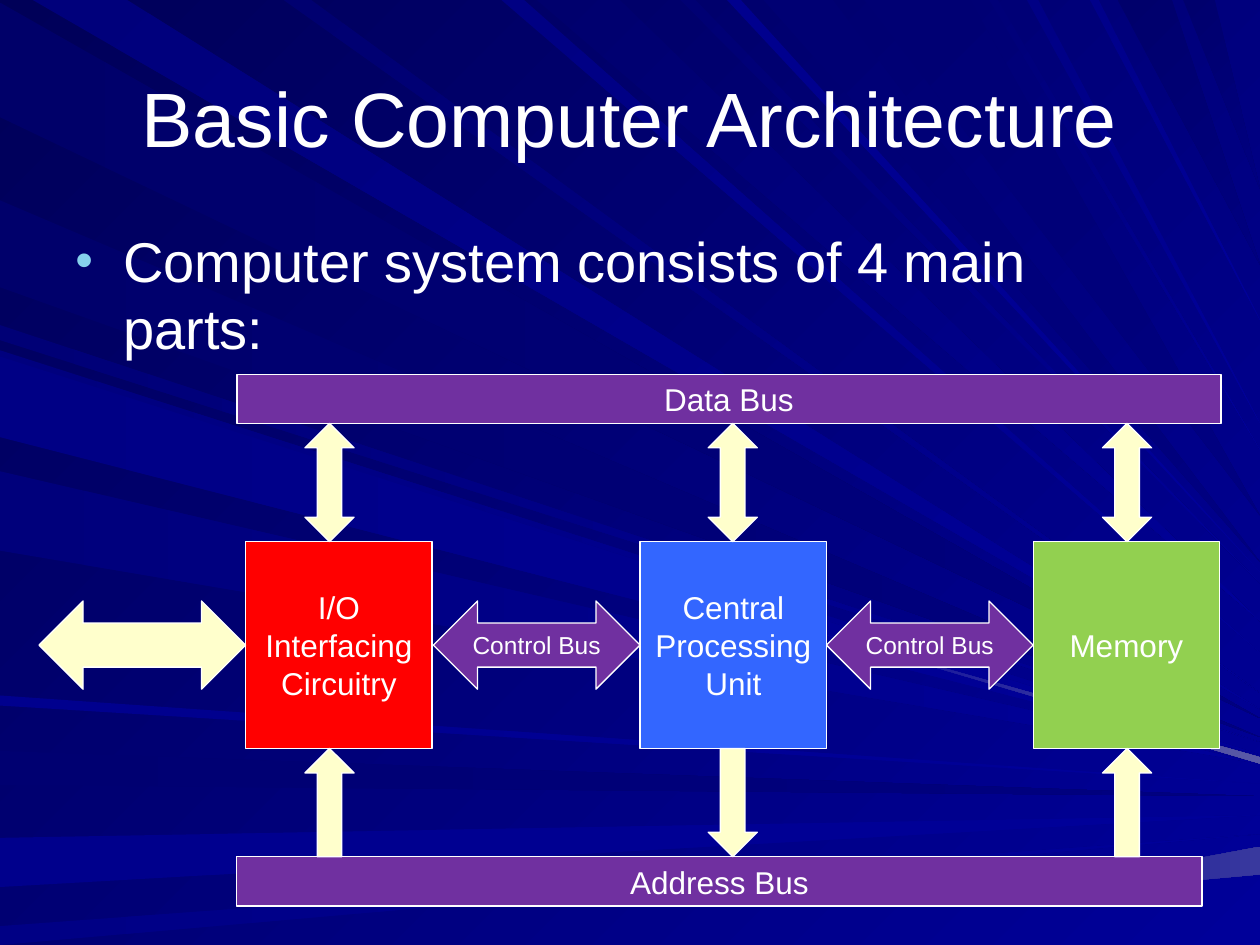
from lxml.etree import SubElement
from pptx import Presentation
from pptx.dml.color import RGBColor
from pptx.enum.shapes import MSO_SHAPE as Preset
from pptx.enum.text import MSO_ANCHOR as Anchor, PP_ALIGN as Align
from pptx.oxml.ns import qn
from pptx.util import Emu, Pt

SCALE = 9144
WIDTH, HEIGHT = 1000, 750
WHITE, CREAM, PURPLE = "FFFFFF", "FFFFCC", "7030A0"
NAVY, BLUE = "000080", "000099"

RAYS = [
    ("left", 2, 93, 570, "000069", NAVY),
    ("top", 26, 101, 563, "00007B", BLUE),
    ("left", 596, 623, 632, "000071", NAVY),
    ("left", 665, 704, 647, "00008C", BLUE),
    ("left", 735, 750, 662, "000085", BLUE),
    ("left", 258, 270, 589, "000076", BLUE),
    ("left", 159, 228, 585, "00006B", NAVY),
    ("top", 398, 416, 518, "000083", BLUE),
    ("top", 426, 492, 493, "00006D", BLUE),
    ("top", 540, 552, 463, "000073", BLUE),
    ("top", 606, 661, 446, "000073", NAVY),
    ("top", 887, 930, 210, "00006B", NAVY),
    ("top", 939, 964, 150, "00006D", NAVY),
    ("left", 278, 342, 599, "00007E", BLUE),
    ("left", 374, 437, 606, "00007B", BLUE),
    ("left", 552, 560, 622, "00008E", BLUE),
    ("top", 225, 247, 550, "000070", BLUE),
    ("top", 577, 588, 454, "00008E", BLUE),
    ("top", 686, 770, 409, "000073", NAVY),
    ("top", 785, 792, 357, "000078", BLUE),
    ("top", 815, 824, 336, "000085", BLUE),
    ("top", 865, 872, 254, "00008A", BLUE),
    ("left", 283, 347, 603, "000085", BLUE),
]
GLINTS = [(770, 715, 672, 694, "39399E"), (635, 498, 601, 606, "5A5AA6")]

BUSES = [("Data Bus", 297, 781), ("Address Bus", 680, 766)]
UNITS = [
    ("I/O\nInterfacing Circuitry", "FF0000", 195, 242, Preset.UP_ARROW),
    ("Central\nProcessing\vUnit", "3366FF", 508, 562, Preset.DOWN_ARROW),
    ("Memory", "92D050", 820, 875, Preset.UP_ARROW),
]


def px(*lengths):
    """Turn pixel lengths into EMU."""
    return [Emu(length * SCALE) for length in lengths]


def color(value):
    """Make a colour from a hex string."""
    return RGBColor.from_string(value)


def apply(target, formats):
    """Set every attribute named in a dict of format values."""
    for name, value in formats.items():
        setattr(target, name, value)


def paint(fill, start, end, angle=0):
    """Fill solid when both colours agree, otherwise with a gradient."""
    if start == end:
        fill.solid()
        fill.fore_color.rgb = color(start)
        return
    fill.gradient()
    fill.gradient_angle = -angle % 360
    for stop, value in zip(fill.gradient_stops, (start, end)):
        stop.color.rgb = color(value)


def add_wedge(page, points, start, end, angle):
    """Draw one triangular ray of the backdrop."""
    builder = page.shapes.build_freeform(*points[0], scale=SCALE)
    builder.add_line_segments(points[1:], close=True)
    wedge = builder.convert_to_shape()
    wedge.shadow.inherit = False
    wedge.line.fill.background()
    paint(wedge.fill, start, end, angle)


def add_backdrop(page):
    """Draw the rays that run from the left and top edges to the right edge."""
    paint(page.background.fill, "000058", BLUE, 45)
    for edge, near, far, height, start, end in RAYS:
        base = [(0, near), (0, far)] if edge == "left" else [(near, 0), (far, 0)]
        angle = 0 if edge == "left" else 45
        add_wedge(page, base + [(WIDTH, height)], start, end, angle)
    for left, height, near, far, end in GLINTS:
        add_wedge(page, [(left, height), (WIDTH, near), (WIDTH, far)], BLUE, end, 0)


def write(frame, text, size, align=Align.CENTER):
    """Write text in white Arial."""
    frame.text = text
    frame.word_wrap = True
    for para in frame.paragraphs:
        para.alignment = align
        for span in para.runs:
            apply(span.font, {"name": "Arial", "size": Pt(size)})
            span.font.color.rgb = color(WHITE)


def add_block(page, preset, place, fill, text="", size=18):
    """Add an outlined preset shape with optional text."""
    block = page.shapes.add_shape(preset, *px(*place))
    block.shadow.inherit = False
    paint(block.fill, fill, fill)
    block.line.color.rgb = color(WHITE)
    block.line.width = Pt(0.75)
    if text:
        margins = dict.fromkeys(("margin_left", "margin_right", "margin_top", "margin_bottom"), 0)
        apply(block.text_frame, {"vertical_anchor": Anchor.MIDDLE, **margins})
        write(block.text_frame, text, size)


def add_text(page, place, text, size, align, anchor):
    """Add a text box and return its first paragraph."""
    frame = page.shapes.add_textbox(*px(*place)).text_frame
    frame.vertical_anchor = anchor
    write(frame, text, size, align)
    return frame.paragraphs[0]


def add_bullet(para, indent, hue):
    """Give a paragraph a hanging round bullet."""
    props = para._p.get_or_add_pPr()
    apply_indent = {"marL": indent, "indent": -indent}
    for name, length in apply_indent.items():
        props.set(name, str(length * SCALE))
    SubElement(SubElement(props, qn("a:buClr")), qn("a:srgbClr"), val=hue)
    SubElement(props, qn("a:buSzPct"), val="90000")
    SubElement(props, qn("a:buFont"), typeface="Arial")
    SubElement(props, qn("a:buChar"), char="•")


def main():
    """Build the computer architecture slide."""
    deck = Presentation()
    deck.slide_width, deck.slide_height = px(WIDTH, HEIGHT)
    page = deck.slides.add_slide(deck.slide_layouts[6])
    add_backdrop(page)

    add_text(page, (50, 30, 900, 125), "Basic Computer Architecture", 44, Align.CENTER, Anchor.MIDDLE)
    point = add_text(page, (50, 175, 888, 495), "Computer system consists of 4 main parts:",
                     32, Align.LEFT, Anchor.TOP)
    add_bullet(point, 38, "86D1EC")

    for label, top, width in BUSES:
        add_block(page, Preset.RECTANGLE, (188, top, width, 39), PURPLE, label)
    for index, (label, fill, left, arrow_left, address_arrow) in enumerate(UNITS):
        add_block(page, Preset.RECTANGLE, (left, 430, 148, 164), fill, label)
        side_fill, side_label = (PURPLE, "Control Bus") if index else (CREAM, "")
        add_block(page, Preset.LEFT_RIGHT_ARROW, (left - 164, 477, 164, 70), side_fill, side_label, 14)
        add_block(page, Preset.UP_DOWN_ARROW, (arrow_left, 336, 39, 94), CREAM)
        add_block(page, address_arrow, (arrow_left, 594, 39, 86), CREAM)
    deck.save("out.pptx")


if __name__ == "__main__":
    main()
